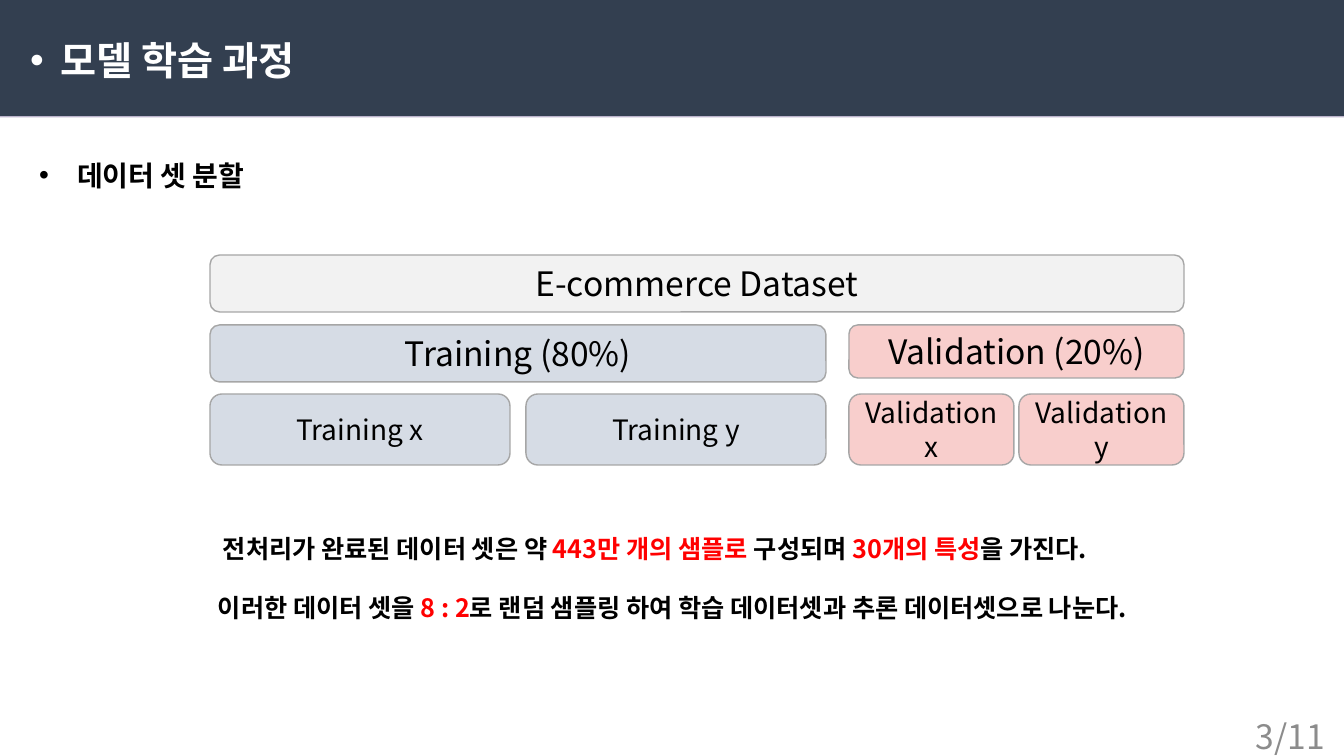
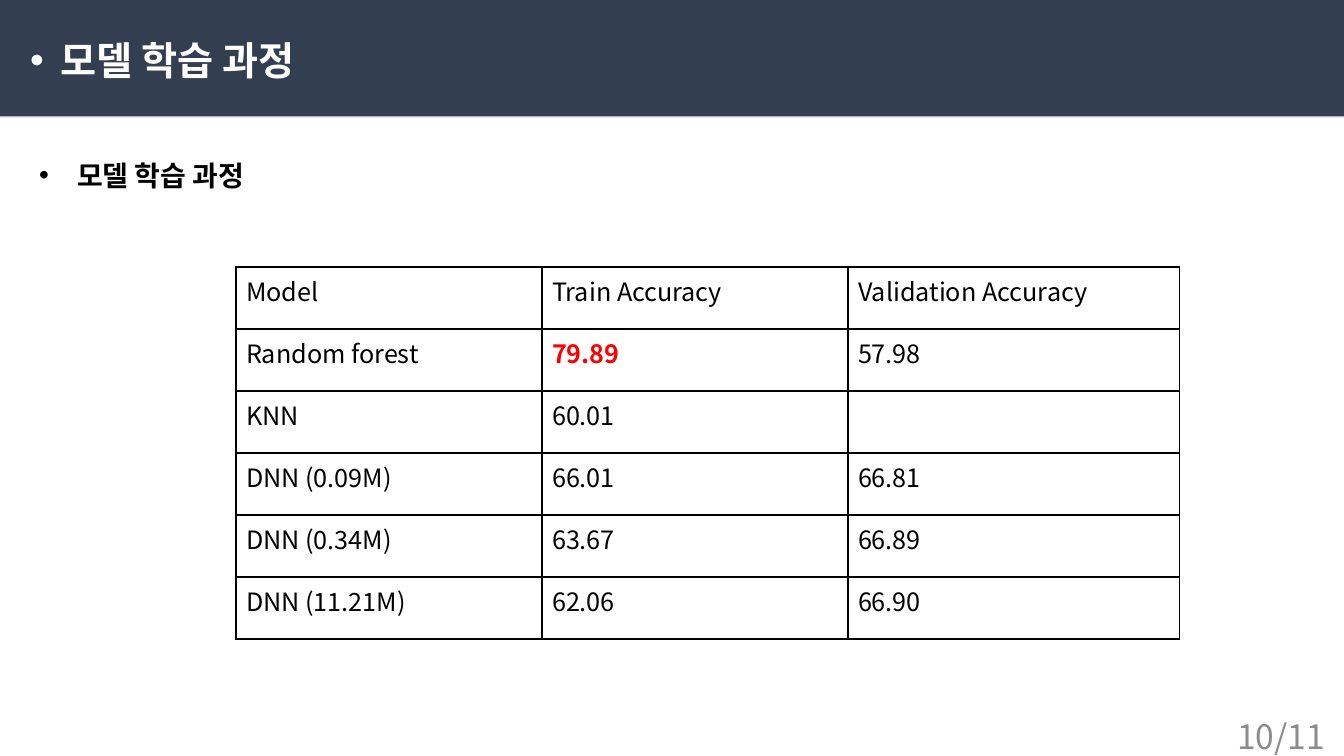
from itertools import product

from lxml import etree
from pptx import Presentation
from pptx.dml.color import RGBColor
from pptx.enum import shapes, text
from pptx.oxml.ns import qn
from pptx.util import Pt

NAVY = RGBColor(0x33, 0x3F, 0x50)
LILAC = RGBColor(0xBB, 0xB3, 0xCB)
WHITE = RGBColor(0xFF, 0xFF, 0xFF)
BLACK = RGBColor(0x00, 0x00, 0x00)
RED = RGBColor(0xFF, 0x00, 0x00)
GRAY = RGBColor(0x8C, 0x8C, 0x8C)
EDGE = RGBColor(0xA6, 0xA6, 0xA6)
PALE = RGBColor(0xF2, 0xF2, 0xF2)
BLUE = RGBColor(0xD6, 0xDC, 0xE5)
PINK = RGBColor(0xF8, 0xCE, 0xCC)

FONT = "Noto Sans CJK KR"
WIDTH, HEIGHT = 1344, 756
SCALE = 12192000 / WIDTH
PAGES = 11
LEFT, CENTER, RIGHT = text.PP_ALIGN.LEFT, text.PP_ALIGN.CENTER, text.PP_ALIGN.RIGHT
MARGINS = ("margin_left", "margin_top", "margin_right", "margin_bottom")


def px(length):
    return round(length * SCALE)


def apply(target, values):
    for name, value in values.items():
        setattr(target, name, value)


def child(parent, tag, **attributes):
    return etree.SubElement(parent, qn(tag), {k: str(v) for k, v in attributes.items()})


class Deck:
    """Hold the shared style and the current slide, and draw each kind of element."""

    def __init__(self):
        self.deck = Presentation()
        apply(self.deck, {"slide_width": px(WIDTH), "slide_height": px(HEIGHT)})
        self.page = None

    def start(self, title, heading, number):
        self.page = self.deck.slides.add_slide(self.deck.slide_layouts[1])
        title_box, heading_box = self.page.placeholders
        self.band(title_box)
        self.bullet(title_box, (20, 31, 436, 57), title, 31, 10, size=28, color=WHITE)
        self.bullet(heading_box, (39, 158, 397, 34), heading, 38, 0, size=20)
        self.label((1033, 716, 302, 40), [(f"{number}/{PAGES}", GRAY)], 10,
                   size=24, align=RIGHT)

    def band(self, front):
        band = self.page.shapes.add_shape(
            shapes.MSO_SHAPE.RECTANGLE, 0, 0, px(WIDTH), px(116))
        band.fill.solid()
        band.fill.fore_color.rgb = NAVY
        band.line.fill.background()
        effects = child(band.element.spPr, "a:effectLst")
        shadow = child(effects, "a:outerShdw", blurRad=0, dist=Pt(1), dir=90 * 60000,
                       algn="t", rotWithShape=0)
        child(shadow, "a:srgbClr", val=LILAC)
        front.element.addprevious(band.element)

    def fill_text(self, frame, runs, size=18, bold=False, align=LEFT):
        para = frame.paragraphs[0]
        apply(para, {"alignment": align, "line_spacing": 1.0,
                     "space_before": Pt(0), "space_after": Pt(0)})
        for words, color in runs:
            span = para.add_run()
            span.text = words
            apply(span.font, {"size": Pt(size), "bold": bold, "name": FONT})
            span.font.color.rgb = color
            child(span.font._element, "a:ea", typeface=FONT)
        return para

    def frame(self, box, inset):
        apply(box.text_frame, {
            "word_wrap": True, "auto_size": text.MSO_AUTO_SIZE.NONE,
            "vertical_anchor": text.MSO_ANCHOR.MIDDLE,
            **dict.fromkeys(MARGINS, px(inset))})
        if inset:
            apply(box.text_frame, {"margin_top": px(5), "margin_bottom": px(5)})
        return box.text_frame

    def bullet(self, box, place, words, indent, inset, size, color=BLACK):
        apply(box, dict(zip(("left", "top", "width", "height"), map(px, place))))
        para = self.fill_text(self.frame(box, inset), [(words, color)], size, bold=True)
        marks = para._p.get_or_add_pPr()
        marks.set("marL", str(px(indent)))
        marks.set("indent", str(-px(indent)))
        child(marks, "a:buFont", typeface="Arial")
        child(marks, "a:buChar", char="•")

    def label(self, place, runs, inset=0, **look):
        box = self.page.shapes.add_textbox(*map(px, place))
        self.fill_text(self.frame(box, inset), runs, **look)

    def block(self, place, words, fill, size=24):
        box = self.page.shapes.add_shape(
            shapes.MSO_SHAPE.ROUNDED_RECTANGLE, *map(px, place))
        box.shadow.inherit = False
        box.fill.solid()
        box.fill.fore_color.rgb = fill
        box.line.color.rgb = EDGE
        box.line.width = Pt(1)
        self.fill_text(self.frame(box, 10), [(words, BLACK)], size, align=CENTER)

    def table(self, left, top, widths, row_height, rows, strong):
        grid = self.page.shapes.add_table(
            len(rows), len(widths), px(left), px(top),
            px(sum(widths)), px(row_height * len(rows))).table
        apply(grid, {"first_row": False, "horz_banding": False})
        for column, width in zip(grid.columns, widths):
            column.width = px(width)
        for row in grid.rows:
            row.height = px(row_height)
        for r, c in product(range(len(rows)), range(len(widths))):
            cell, words = grid.cell(r, c), rows[r][c]
            self.borders(cell)
            cell.fill.solid()
            cell.fill.fore_color.rgb = WHITE
            marked = (r, c) == strong
            if words:
                self.fill_text(cell.text_frame, [(words, RED if marked else BLACK)],
                               bold=marked)

    def borders(self, cell):
        props = cell._tc.get_or_add_tcPr()
        for side in "LRTB":
            line = child(props, f"a:ln{side}", w=Pt(1))
            child(child(line, "a:solidFill"), "a:srgbClr", val=BLACK)


def split_page(deck):
    deck.start("모델 학습 과정", "데이터 셋 분할", 3)
    deck.block((210, 255, 974, 57), "E-commerce Dataset", PALE)
    groups = (
        ("Training", "80%", BLUE, 210, 616, 57, 300),
        ("Validation", "20%", PINK, 849, 335, 53, 165),
    )
    for name, share, fill, left, width, height, part in groups:
        deck.block((left, 325, width, height), f"{name} ({share})", fill)
        for axis, start in (("x", left), ("y", left + width - part)):
            deck.block((start, 394, part, 71), f"{name} {axis}", fill, size=20)
    deck.label((223, 533, 974, 30), [
        ("전처리가 완료된 데이터 셋은 약 ", BLACK), ("443만 개의 샘플로 ", RED),
        ("구성되며 ", BLACK), ("30개의 특성", RED), ("을 가진다.", BLACK)], bold=True)
    deck.label((218, 592, 974, 30), [
        ("이러한 데이터 셋을 ", BLACK), ("8 : 2", RED),
        ("로 랜덤 샘플링 하여 학습 데이터셋과 추론 데이터셋으로 나눈다.", BLACK)], bold=True)


def accuracy_page(deck):
    deck.start("모델 학습 과정", "모델 학습 과정", 10)
    deck.table(236, 267, (306, 306, 332), 62, (
        ("Model", "Train Accuracy", "Validation Accuracy"),
        ("Random forest", "79.89", "57.98"),
        ("KNN", "60.01", ""),
        ("DNN (0.09M)", "66.01", "66.81"),
        ("DNN (0.34M)", "63.67", "66.89"),
        ("DNN (11.21M)", "62.06", "66.90"),
    ), strong=(1, 1))


show = Deck()
split_page(show)
accuracy_page(show)
show.deck.save("out.pptx")
